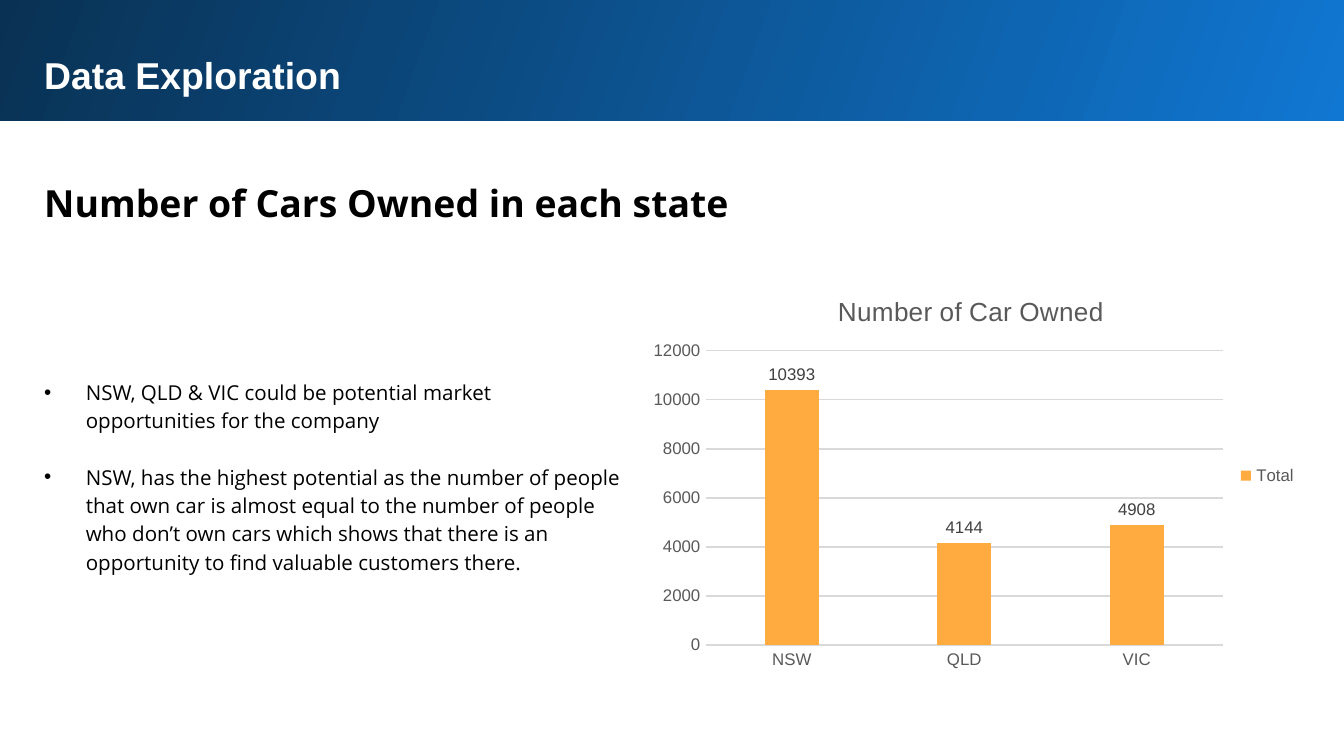
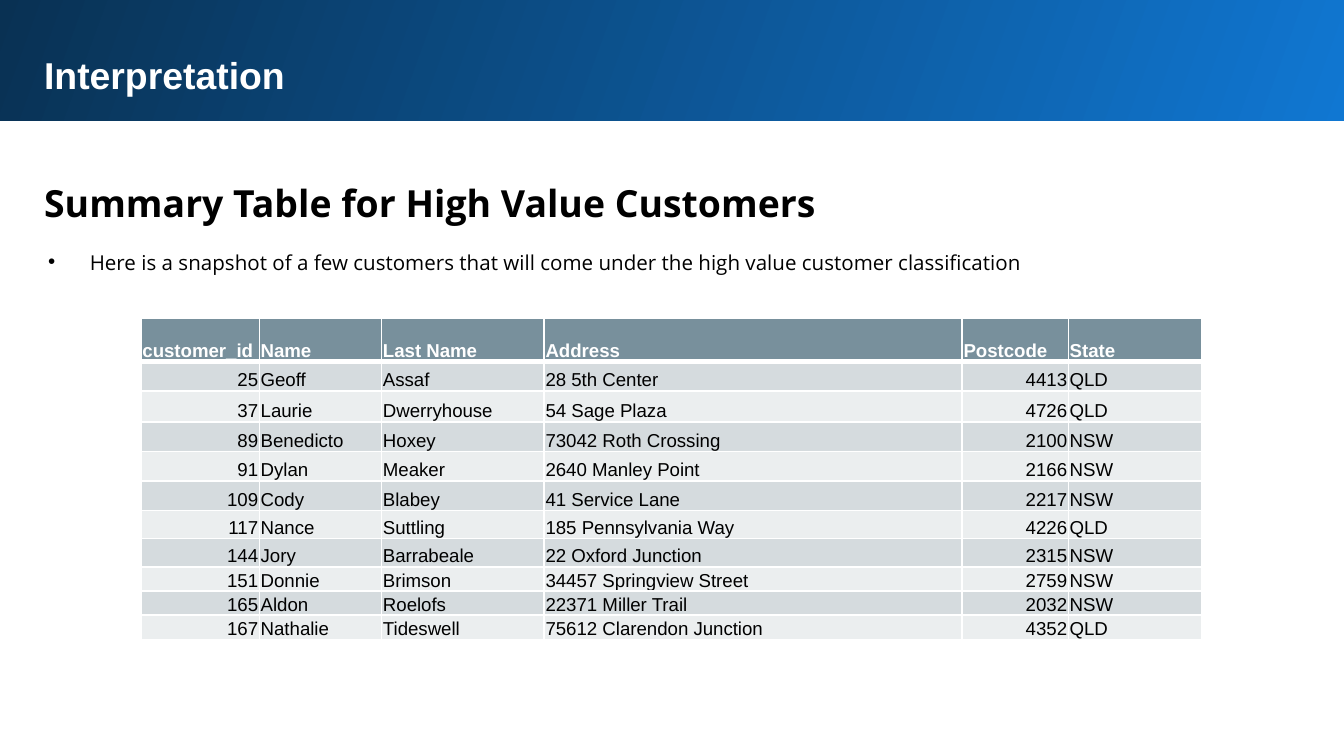
from lxml import etree
from pptx import Presentation
from pptx.chart.data import CategoryChartData
from pptx.dml.color import RGBColor
from pptx.enum.chart import XL_CHART_TYPE as ChartType, XL_LABEL_POSITION as LabelPosition
from pptx.enum.chart import XL_LEGEND_POSITION as LegendPosition, XL_TICK_MARK as TickMark
from pptx.enum.shapes import MSO_SHAPE as Shape
from pptx.enum.text import MSO_ANCHOR as Anchor, MSO_AUTO_SIZE as AutoSize, PP_ALIGN as Align
from pptx.oxml import parse_xml
from pptx.oxml.ns import nsdecls, qn
from pptx.util import Inches, Pt

BAND_COLORS = ("1077D2", "093153")
WHITE, BLACK = "FFFFFF", "000000"
AXIS_GRAY, GRID_GRAY, LABEL_GRAY = "595959", "D9D9D9", "404040"
BAR_ORANGE = "FFAB40"
HEADER_FILL, ROW_FILLS = "78909C", ("D5DBDE", "EBEEEF")
SANS, BODY = "Arial", "Open Sans"
LEFT = 0.23

EXPLORATION = {
    "title": "Data Exploration",
    "heading": "Number of Cars Owned in each state",
    "heading_width": 5.55,
    "bullets": [
        "NSW, QLD & VIC could be potential market opportunities for the company",
        "NSW, has the highest potential as the number of people that own car is almost "
        "equal to the number of people who don’t own cars which shows that there is an "
        "opportunity to find valuable customers there.",
    ],
    "bullet_place": (LEFT, 2.7, 4.52, 1.68),
}
CARS_TITLE = "Number of Car Owned"
CARS_OWNED = {"NSW": 10393, "QLD": 4144, "VIC": 4908}

INTERPRETATION = {
    "title": "Interpretation",
    "heading": "Summary Table for High Value Customers",
    "heading_width": 8.49,
    "bullets": ["Here is a snapshot of a few customers that will come under the "
                "high value customer classification"],
    "bullet_place": (0.26, 1.73, 7.52, 0.4),
}
CUSTOMERS = [
    ("customer_id", "Name", "Last Name", "Address", "Postcode", "State"),
    (25, "Geoff", "Assaf", "28 5th Center", 4413, "QLD"),
    (37, "Laurie", "Dwerryhouse", "54 Sage Plaza", 4726, "QLD"),
    (89, "Benedicto", "Hoxey", "73042 Roth Crossing", 2100, "NSW"),
    (91, "Dylan", "Meaker", "2640 Manley Point", 2166, "NSW"),
    (109, "Cody", "Blabey", "41 Service Lane", 2217, "NSW"),
    (117, "Nance", "Suttling", "185 Pennsylvania Way", 4226, "QLD"),
    (144, "Jory", "Barrabeale", "22 Oxford Junction", 2315, "NSW"),
    (151, "Donnie", "Brimson", "34457 Springview Street", 2759, "NSW"),
    (165, "Aldon", "Roelofs", "22371 Miller Trail", 2032, "NSW"),
    (167, "Nathalie", "Tideswell", "75612 Clarendon Junction", 4352, "QLD"),
]
COLUMN_WIDTHS = (0.88, 0.91, 1.21, 3.11, 0.79, 0.99)
ROW_HEIGHTS = (0.32, 0.22, 0.23, 0.22, 0.22, 0.22, 0.21, 0.21, 0.18, 0.18, 0.18)


def rgb(color):
    return RGBColor.from_string(color)


def style_font(font, size, color, name=SANS, bold=False):
    font.size, font.name, font.bold = Pt(size), name, bold
    font.color.rgb = rgb(color)


def add_bullet(para):
    properties = para._p.get_or_add_pPr()
    properties.set("marL", str(Inches(0.31)))
    properties.set("indent", str(-Inches(0.31)))
    etree.SubElement(properties, qn("a:buFont"), typeface=SANS)
    etree.SubElement(properties, qn("a:buChar"), char="•")


def add_text(page, texts, place, size, color=BLACK, name=BODY, bold=False,
             spacing=1.15, bullets=False):
    box = page.shapes.add_textbox(*map(Inches, place))
    frame = box.text_frame
    frame.word_wrap, frame.auto_size = True, AutoSize.SHAPE_TO_FIT_TEXT
    frame.margin_left = frame.margin_right = Inches(0.1)
    frame.margin_top = frame.margin_bottom = Inches(0.1)
    for index, text in enumerate(texts):
        para = frame.add_paragraph() if index else frame.paragraphs[0]
        if bullets:
            add_bullet(para)
        para.line_spacing = spacing
        if index:
            para.space_before = Pt(15)
        span = para.add_run()
        span.text = text
        style_font(span.font, size, color, name, bold)


def add_page(deck, content):
    """Add a slide with the gradient band, title, heading and bullets."""
    page = deck.slides.add_slide(deck.slide_layouts[6])
    band = page.shapes.add_shape(Shape.RECTANGLE, *map(Inches, (-0.02, -0.02, 10.05, 0.92)))
    band.shadow.inherit = False
    band.line.fill.background()
    band.fill.gradient()
    band.fill.gradient_angle = 160
    for stop, color in zip(band.fill.gradient_stops, BAND_COLORS):
        stop.color.rgb = rgb(color)
    add_text(page, [content["title"]], (LEFT, 0.29, 9.37, 0.54), 20, WHITE, SANS,
             bold=True, spacing=1.0)
    add_text(page, [content["heading"]], (LEFT, 1.19, content["heading_width"], 0.56), 20,
             bold=True)
    add_text(page, content["bullets"], content["bullet_place"], 11, bullets=True)
    return page


def manual_layout(inner=False, **fractions):
    target = '<c:layoutTarget val="inner"/>' if inner else ""
    modes = "".join(f'<c:{key}Mode val="edge"/>' for key in "xy")
    values = "".join(f'<c:{key} val="{value}"/>' for key, value in fractions.items())
    return parse_xml(f'<c:layout {nsdecls("c")}><c:manualLayout>{target}{modes}{values}'
                     "</c:manualLayout></c:layout>")


def set_layout(parent, layout, position):
    for old in parent.findall(qn("c:layout")):
        parent.remove(old)
    parent.insert(position, layout)


def add_cars_chart(page):
    data = CategoryChartData()
    data.categories = list(CARS_OWNED)
    data.add_series("Total", list(CARS_OWNED.values()))
    chart = page.shapes.add_chart(ChartType.COLUMN_CLUSTERED,
                                  *map(Inches, (4.75, 2.04, 5, 3)), data).chart
    style_font(chart.font, 10, BLACK)

    para = chart.chart_title.text_frame.paragraphs[0]
    span = para.add_run()
    span.text = CARS_TITLE
    style_font(span.font, 14, AXIS_GRAY)
    chart.chart_title.include_in_layout = False
    set_layout(chart.chart_title._element, manual_layout(x=0.29, y=0.04), 1)
    set_layout(chart._chartSpace.chart.plotArea,
               manual_layout(inner=True, x=0.1, y=0.19, w=0.77, h=0.73), 0)

    chart.has_legend = True
    chart.legend.position = LegendPosition.RIGHT
    chart.legend.include_in_layout = False
    style_font(chart.legend.font, 9, AXIS_GRAY)

    for axis in (chart.category_axis, chart.value_axis):
        axis.major_tick_mark = axis.minor_tick_mark = TickMark.NONE
        style_font(axis.tick_labels.font, 9, AXIS_GRAY)
    chart.value_axis.format.line.fill.background()
    chart.value_axis.minimum_scale, chart.value_axis.maximum_scale = 0, 12000
    chart.value_axis.major_unit = 2000
    for lined in (chart.category_axis, chart.value_axis.major_gridlines):
        lined.format.line.color.rgb = rgb(GRID_GRAY)
        lined.format.line.width = Pt(0.75)

    plot = chart.plots[0]
    plot.vary_by_categories = False
    plot.gap_width, plot.overlap = 219, -27
    bars = plot.series[0]
    bars.format.fill.solid()
    bars.format.fill.fore_color.rgb = rgb(BAR_ORANGE)
    labels = bars.data_labels
    labels.show_value, labels.position = True, LabelPosition.OUTSIDE_END
    style_font(labels.font, 9, LABEL_GRAY)


def set_borders(cell, top, bottom):
    """Give the cell white borders; call before its fill is set."""
    properties = cell._tc.get_or_add_tcPr()
    for side, width in (("L", 1), ("R", 1), ("T", top), ("B", bottom)):
        line = etree.SubElement(properties, qn(f"a:ln{side}"), w=str(Pt(width)))
        fill = etree.SubElement(line, qn("a:solidFill"))
        etree.SubElement(fill, qn("a:srgbClr"), val=WHITE)


def add_customer_table(page):
    table = page.shapes.add_table(len(CUSTOMERS), len(COLUMN_WIDTHS),
                                  *map(Inches, (1.05, 2.37, 7.9, 2.39))).table
    for column, width in zip(table.columns, COLUMN_WIDTHS):
        column.width = Inches(width)
    for row, height in zip(table.rows, ROW_HEIGHTS):
        row.height = Inches(height)
    for r, customer in enumerate(CUSTOMERS):
        header = r == 0
        for c, value in enumerate(customer):
            cell = table.cell(r, c)
            set_borders(cell, top=3 if r == 1 else 1, bottom=3 if header else 1)
            cell.fill.solid()
            cell.fill.fore_color.rgb = rgb(HEADER_FILL if header else ROW_FILLS[(r - 1) % 2])
            cell.vertical_anchor = Anchor.BOTTOM
            cell.margin_left = cell.margin_right = cell.margin_top = Inches(0.01)
            cell.margin_bottom = 0
            para = cell.text_frame.paragraphs[0]
            para.alignment = Align.RIGHT if isinstance(value, int) else Align.LEFT
            span = para.add_run()
            span.text = str(value)
            style_font(span.font, 10, WHITE if header else BLACK, bold=header)


def main():
    deck = Presentation()
    deck.slide_width = Inches(10)
    deck.slide_height = deck.slide_width * 9 // 16
    add_cars_chart(add_page(deck, EXPLORATION))
    add_customer_table(add_page(deck, INTERPRETATION))
    deck.save("out.pptx")


if __name__ == "__main__":
    main()
